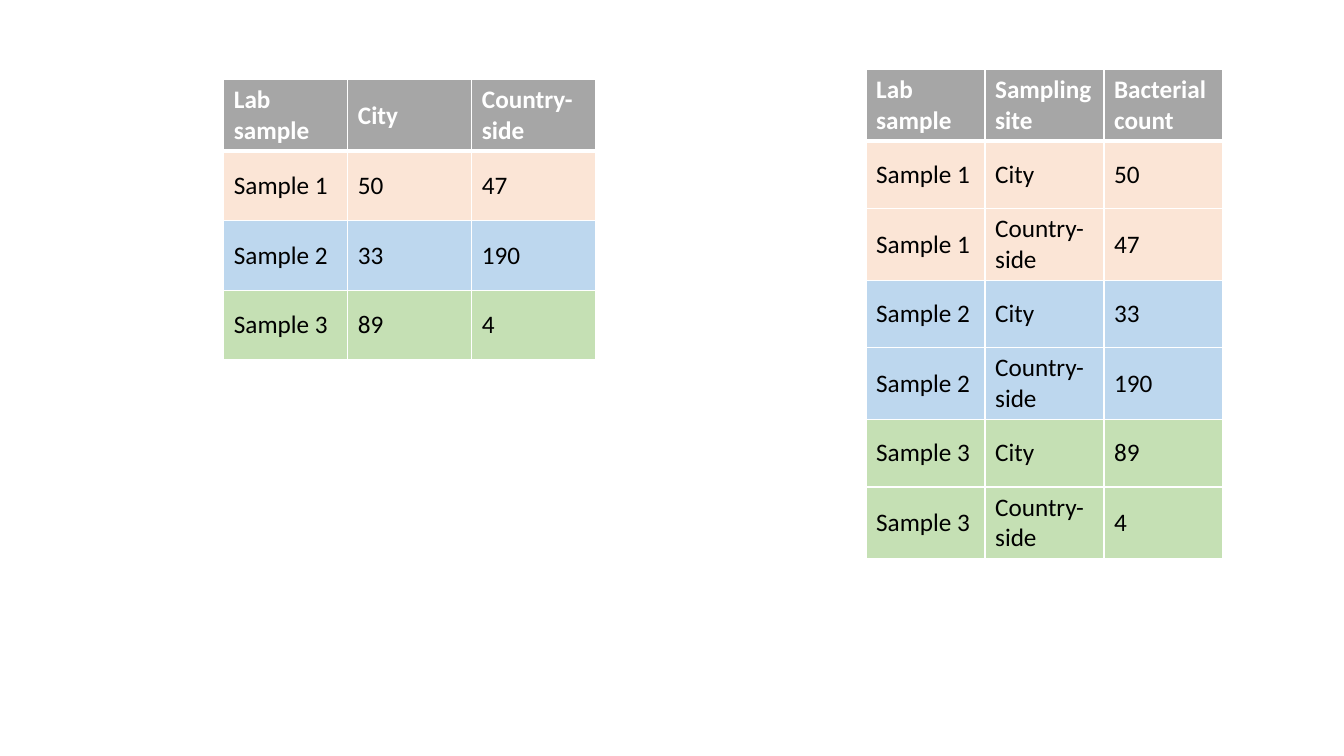
from lxml.etree import SubElement
from pptx import Presentation
from pptx.dml.color import RGBColor
from pptx.enum.text import MSO_ANCHOR
from pptx.oxml.ns import qn
from pptx.util import Inches, Pt

WHITE = RGBColor(0xFF, 0xFF, 0xFF)
BLACK = RGBColor(0x00, 0x00, 0x00)
GRAY = RGBColor(0xA6, 0xA6, 0xA6)
PEACH = RGBColor(0xFB, 0xE5, 0xD6)
BLUE = RGBColor(0xBD, 0xD7, 0xEE)
GREEN = RGBColor(0xC5, 0xE0, 0xB4)


def write_cell(cell, text, *, fill, color=BLACK, bold=False, top=1, bottom=1):
    """Fill and label a cell; top and bottom are border widths in points."""
    tcPr = cell._tc.get_or_add_tcPr()
    for side, width in (("L", 1), ("R", 1), ("T", top), ("B", bottom)):
        ln = SubElement(tcPr, qn(f"a:ln{side}"), w=str(Pt(width)))
        SubElement(SubElement(ln, qn("a:solidFill")), qn("a:srgbClr"), val=str(WHITE))
    cell.fill.solid()
    cell.fill.fore_color.rgb = fill
    cell.vertical_anchor = MSO_ANCHOR.MIDDLE
    r = cell.text_frame.paragraphs[0].add_run()
    r.text = text
    r.font.name, r.font.size = "Calibri", Pt(18)
    r.font.bold, r.font.color.rgb = bold, color


def add_data_table(s, left, top, col_width, row_height, header, rows):
    """Add a table from a header and (fill, texts) rows."""
    n_rows, n_cols = len(rows) + 1, len(header)
    table = s.shapes.add_table(
        n_rows, n_cols, Inches(left), Inches(top),
        Inches(col_width * n_cols), Inches(row_height * n_rows)).table
    for column in table.columns:
        column.width = Inches(col_width)
    for row in table.rows:
        row.height = Inches(row_height)
    for j, text in enumerate(header):
        write_cell(table.cell(0, j), text, fill=GRAY, color=WHITE, bold=True, bottom=3)
    for i, (fill, texts) in enumerate(rows, start=1):
        for j, text in enumerate(texts):
            write_cell(table.cell(i, j), text, fill=fill, top=3 if i == 1 else 1)


prs = Presentation()
prs.slide_width, prs.slide_height = Inches(13.33), Inches(7.5)
s = prs.slides.add_slide(prs.slide_layouts[6])

sites = ["City", "Country-side"]
samples = [
    (PEACH, "Sample 1", ["50", "47"]),
    (BLUE, "Sample 2", ["33", "190"]),
    (GREEN, "Sample 3", ["89", "4"]),
]

# Wide form: one row per sample
wide_rows = [(fill, [name, *counts]) for fill, name, counts in samples]
add_data_table(s, 2.22, 0.79, 1.23, 0.69, ["Lab sample", *sites], wide_rows)

# Long form: one row per sample and site
long_rows = [(fill, [name, site, count])
             for fill, name, counts in samples
             for site, count in zip(sites, counts)]
add_data_table(s, 8.59, 0.69, 1.18, 0.67,
               ["Lab sample", "Sampling site", "Bacterial count"], long_rows)

prs.save("out.pptx")
